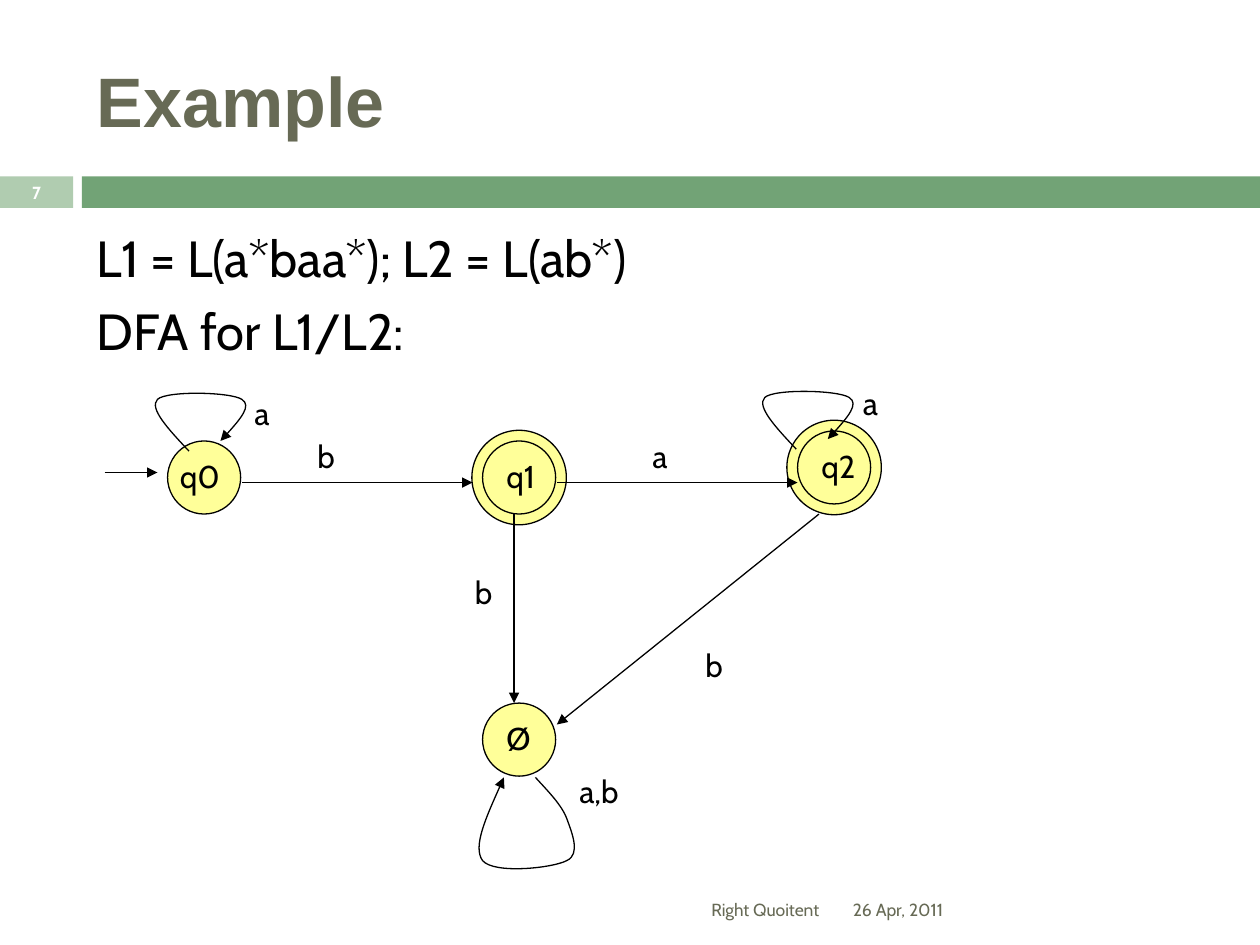
import pptx
import pptx.util
import pptx.dml.color
import pptx.enum.shapes
import pptx.enum.text
import pptx.oxml.ns
import lxml.etree
from pptx.util import Inches

THEME = {
    "heading_font": "Arial", "font": "Cabin",
    "ink": "000000", "muted": "676A55", "white": "FFFFFF",
    "state": "FFFF99", "band": "72A376", "band_light": "B0CCB0",
    "title": 40, "body": 29, "label": 18, "small": 10, "line": 0.75,
}
STATE_SIZE, RING_SIZE = 0.58, 0.75
LABEL_HEIGHT = 0.4
TEXT_DROP = 0.08

TITLE = "Example"
STATEMENTS = ["L1 = L(a*baa*); L2 = L(ab*)", "DFA for L1/L2:"]
# name, left, top, text shift, accepting
STATES = [
    ("q0", 1.33, 3.5, 0, False),
    ("q1", 3.83, 3.5, 0.09, True),
    ("q2", 6.33, 3.42, 0.09, True),
    ("Ø", 3.83, 5.58, 0.09, False),
]
# start, end
ARROWS = [
    ((0.83, 3.75), (1.25, 3.75)),
    ((1.92, 3.83), (3.75, 3.83)),
    ((4.42, 3.83), (6.33, 3.83)),
    ((4.08, 4.08), (4.08, 5.58)),
    ((6.5, 4.08), (4.42, 5.75)),
]
# start point, then three points for each Bézier curve
UPPER_LOOP = [(1.5, 3.58), (1.34, 3.41), (1.18, 3.24), (1.25, 3.17),
              (1.32, 3.1), (1.83, 3.11), (1.92, 3.17),
              (2, 3.22), (1.88, 3.36), (1.75, 3.5)]
LOWER_LOOP = [(4.25, 6.17), (4.35, 6.28), (4.46, 6.39), (4.5, 6.5),
              (4.54, 6.61), (4.61, 6.78), (4.5, 6.83),
              (4.39, 6.89), (3.92, 6.94), (3.83, 6.83),
              (3.75, 6.72), (3.88, 6.44), (4, 6.17)]
Q2_LOOP = [(x + 4.82, y - 0.015) for x, y in UPPER_LOOP]
# text, left, top, width
EDGE_LABELS = [
    ("a", 1.92, 3.08, 0.5), ("b", 2.42, 3.42, 0.42),
    ("a", 5.08, 3.42, 0.5), ("a", 6.75, 3, 0.25),
    ("a,b", 4.5, 6.08, 1), ("b", 5.5, 5.08, 0.42),
    ("b", 3.67, 4.5, 0.42),
]

ALIGN = pptx.enum.text.PP_ALIGN
ANCHOR = pptx.enum.text.MSO_ANCHOR
SHAPE = pptx.enum.shapes.MSO_SHAPE
qn = pptx.oxml.ns.qn


def rgb(name):
    return pptx.dml.color.RGBColor.from_string(THEME[name])


def add_text(slide, lines, box, size, color="ink", font="font", bold=False,
             align=ALIGN.LEFT, anchor=ANCHOR.TOP, gap=0):
    frame = slide.shapes.add_textbox(*map(Inches, box)).text_frame
    frame.word_wrap = True
    frame.vertical_anchor = anchor
    for index, line in enumerate(lines):
        paragraph = frame.paragraphs[0] if index == 0 else frame.add_paragraph()
        paragraph.text = line
        paragraph.alignment = align
        if index:
            paragraph.space_before = pptx.util.Pt(gap)
        paragraph.font.name = THEME[font]
        paragraph.font.size = pptx.util.Pt(THEME[size])
        paragraph.font.bold = bold
        paragraph.font.color.rgb = rgb(color)


def add_filled(slide, kind, box, fill, outlined=False):
    shape = slide.shapes.add_shape(kind, *map(Inches, box))
    shape.shadow.inherit = False
    shape.fill.solid()
    shape.fill.fore_color.rgb = rgb(fill)
    if outlined:
        set_line(shape.line)
    else:
        shape.line.fill.background()


def set_line(line):
    line.color.rgb = rgb("ink")
    line.width = pptx.util.Pt(THEME["line"])


def finish_arrow(shape):
    """Style the line, point its end and drop the theme shadow."""
    set_line(shape.line)
    properties = shape._element.spPr
    lxml.etree.SubElement(properties.find(qn("a:ln")), qn("a:tailEnd"), type="triangle")
    if properties.find(qn("a:effectLst")) is None:
        lxml.etree.SubElement(properties, qn("a:effectLst"))


def add_arrow(slide, start, end):
    finish_arrow(slide.shapes.add_connector(
        pptx.enum.shapes.MSO_CONNECTOR.STRAIGHT, *map(Inches, start + end)))


def add_loop(slide, points):
    """Draw an open path, joining every three straight steps into one curve."""
    (x, y), *rest = points
    builder = slide.shapes.build_freeform(Inches(x), Inches(y))
    builder.add_line_segments([tuple(map(Inches, point)) for point in rest], close=False)
    loop = builder.convert_to_shape()
    loop.shadow.inherit = False
    loop.fill.background()
    outline = next(loop._element.iter(qn("a:path")))
    steps = outline.findall(qn("a:lnTo"))
    for first in range(0, len(steps), 3):
        curve = lxml.etree.SubElement(outline, qn("a:cubicBezTo"))
        for step in steps[first:first + 3]:
            curve.append(step[0])
            outline.remove(step)
    finish_arrow(loop)


def add_state(slide, name, left, top, shift, accepting):
    if accepting:
        margin = (RING_SIZE - STATE_SIZE) / 2
        add_filled(slide, SHAPE.OVAL,
                   (left - margin, top - margin, RING_SIZE, RING_SIZE), "state", True)
    add_filled(slide, SHAPE.OVAL, (left, top, STATE_SIZE, STATE_SIZE), "state", True)
    add_text(slide, [name], (left + shift, top + TEXT_DROP, STATE_SIZE, LABEL_HEIGHT), "label")


def main():
    deck = pptx.Presentation()
    deck.slide_width, deck.slide_height = Inches(10), Inches(7.5)
    slide = deck.slides.add_slide(deck.slide_layouts[6])

    add_filled(slide, SHAPE.RECTANGLE, (0, 1.4, 0.58, 0.25), "band_light")
    add_filled(slide, SHAPE.RECTANGLE, (0.65, 1.4, 9.35, 0.25), "band")
    add_text(slide, [TITLE], (0.67, 0.25, 8.92, 1.08), "title", "muted",
             "heading_font", bold=True, anchor=ANCHOR.MIDDLE)
    add_text(slide, STATEMENTS, (0.67, 1.75, 8.92, 4.92), "body", gap=7)

    for state in STATES:
        add_state(slide, *state)
    for start, end in ARROWS:
        add_arrow(slide, start, end)
    for loop in (UPPER_LOOP, Q2_LOOP, LOWER_LOOP):
        add_loop(slide, loop)
    for text, left, top, width in EDGE_LABELS:
        add_text(slide, [text], (left, top, width, LABEL_HEIGHT), "label")

    add_text(slide, ["26 Apr, 2011"], (6.67, 7.02, 2.92, 0.4), "small", "muted",
             anchor=ANCHOR.MIDDLE)
    add_text(slide, ["7"], (0, 1.39, 0.58, 0.27), "small", "white", bold=True,
             align=ALIGN.CENTER, anchor=ANCHOR.MIDDLE)
    add_text(slide, ["Right Quoitent"], (0.67, 7.02, 5.93, 0.4), "small", "muted",
             align=ALIGN.RIGHT, anchor=ANCHOR.MIDDLE)
    deck.save("out.pptx")


if __name__ == "__main__":
    main()
